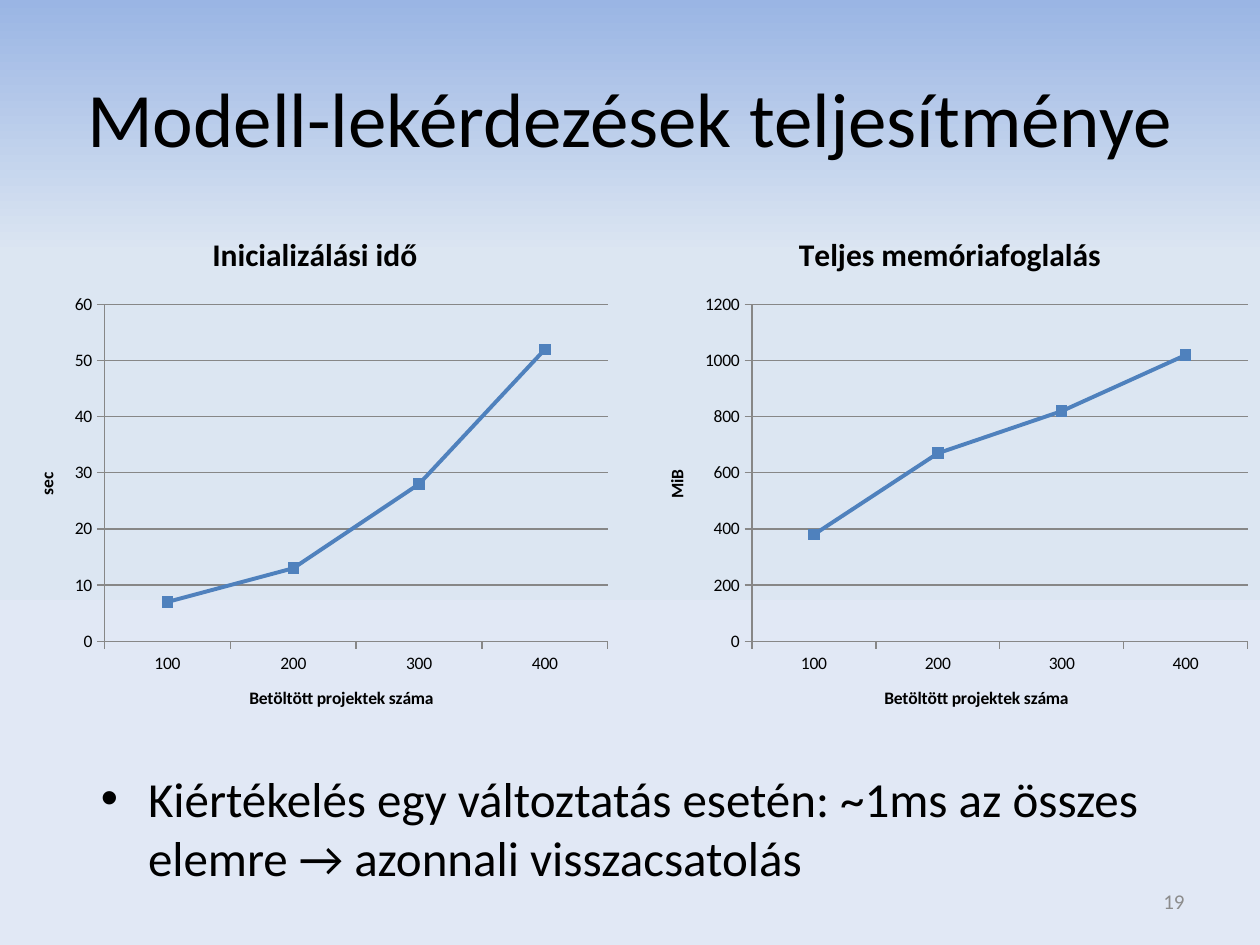
import copy

import pptx
import pptx.chart.data
import pptx.dml.color
import pptx.enum.chart
import pptx.enum.text
import pptx.oxml.ns
import pptx.util

Pt = pptx.util.Pt
ALIGN = pptx.enum.text.PP_ALIGN
ANCHOR = pptx.enum.text.MSO_ANCHOR
FONT = "Calibri"
COLORS = {"text": "000000", "number": "8C8C8C", "series": "4F81BD", "axis": "878787"}
BACKGROUND_STOPS = [(0, "9AB5E4"), (27, "DCE6F2"), (100, "E1E8F5")]
PROJECT_COUNTS = ["100", "200", "300", "400"]
PROJECT_AXIS = "Betöltött projektek száma"


def rgb(hex_color):
    return pptx.dml.color.RGBColor.from_string(hex_color)


def place(shape, box):
    shape.left, shape.top, shape.width, shape.height = (Pt(length) for length in box)


def set_font(font, size, color=COLORS["text"], bold=False):
    font.name, font.size, font.bold = FONT, Pt(size), bold
    font.color.rgb = rgb(color)


def write(frame, text, size, color=COLORS["text"], bold=False, align=None, anchor=None):
    frame.word_wrap = True
    if anchor is not None:
        frame.vertical_anchor = anchor
    paragraph = frame.paragraphs[0]
    paragraph.alignment = align
    run = paragraph.add_run()
    run.text = text
    set_font(run.font, size, color, bold)


def paint_background(slide):
    fill = slide.background.fill
    fill.gradient()
    fill.gradient_angle = 270
    # A new gradient has two stops; a third is cloned
    stop_list = slide.element.find(".//" + pptx.oxml.ns.qn("a:gsLst"))
    stop_list.append(copy.deepcopy(stop_list[0]))
    for stop, (percent, color) in zip(fill.gradient_stops, BACKGROUND_STOPS):
        stop.position = percent / 100
        stop.color.rgb = rgb(color)


def add_heading(slide, box, text):
    heading = slide.shapes.title
    place(heading, box)
    write(heading.text_frame, text, 44, align=ALIGN.CENTER, anchor=ANCHOR.MIDDLE)


def add_measurement(slide, box, title, unit, values, top, step):
    data = pptx.chart.data.CategoryChartData()
    data.categories = PROJECT_COUNTS
    data.add_series("Series 1", values)
    chart = slide.shapes.add_chart(
        pptx.enum.chart.XL_CHART_TYPE.LINE_MARKERS, *(Pt(length) for length in box), data
    ).chart
    chart.has_legend = False
    set_font(chart.font, 10)
    write(chart.chart_title.text_frame, title, 18, bold=True)

    # Axes
    for axis, label in ((chart.category_axis, PROJECT_AXIS), (chart.value_axis, unit)):
        write(axis.axis_title.text_frame, label, 10, bold=True)
        axis.major_tick_mark = pptx.enum.chart.XL_TICK_MARK.OUTSIDE
        axis.format.line.color.rgb = rgb(COLORS["axis"])
    scale = chart.value_axis
    scale.minimum_scale, scale.maximum_scale, scale.major_unit = 0, top, step
    scale.has_major_gridlines = True
    scale.major_gridlines.format.line.color.rgb = rgb(COLORS["axis"])

    # Measured line
    chart.plots[0].vary_by_categories = False
    series = chart.plots[0].series[0]
    series.smooth = False
    series.format.line.color.rgb = rgb(COLORS["series"])
    series.format.line.width = Pt(2.25)
    series.marker.style = pptx.enum.chart.XL_MARKER_STYLE.SQUARE
    series.marker.size = 6
    series.marker.format.fill.solid()
    series.marker.format.fill.fore_color.rgb = rgb(COLORS["series"])
    series.marker.format.line.color.rgb = rgb(COLORS["series"])


def add_conclusion(slide, box, text):
    conclusion = slide.placeholders[1]
    place(conclusion, box)
    write(conclusion.text_frame, text, 28, anchor=ANCHOR.TOP)


def add_page_number(slide, box, number):
    page_number = slide.shapes.add_textbox(*(Pt(length) for length in box))
    write(page_number.text_frame, number, 12, COLORS["number"],
          align=ALIGN.RIGHT, anchor=ANCHOR.MIDDLE)


def main():
    deck = pptx.Presentation()
    deck.slide_width, deck.slide_height = Pt(720), Pt(540)
    slide = deck.slides.add_slide(deck.slide_layouts[1])

    paint_background(slide)
    add_heading(slide, (36, 21.6, 648, 90), "Modell-lekérdezések teljesítménye")
    add_measurement(slide, (5.76, 120, 348.5, 300), "Inicializálási idő", "sec",
                    (7, 13, 28, 52), top=60, step=10)
    add_measurement(slide, (365.76, 120, 354.24, 300), "Teljes memóriafoglalás", "MiB",
                    (380, 670, 820, 1020), top=1200, step=200)
    add_conclusion(slide, (50.4, 435.6, 635.8, 122.4),
                   "Kiértékelés egy változtatás esetén: ~1ms az összes elemre "
                   "→ azonnali visszacsatolás")
    add_page_number(slide, (516, 500.4, 168, 28.8), "19")

    deck.save("out.pptx")


if __name__ == "__main__":
    main()
